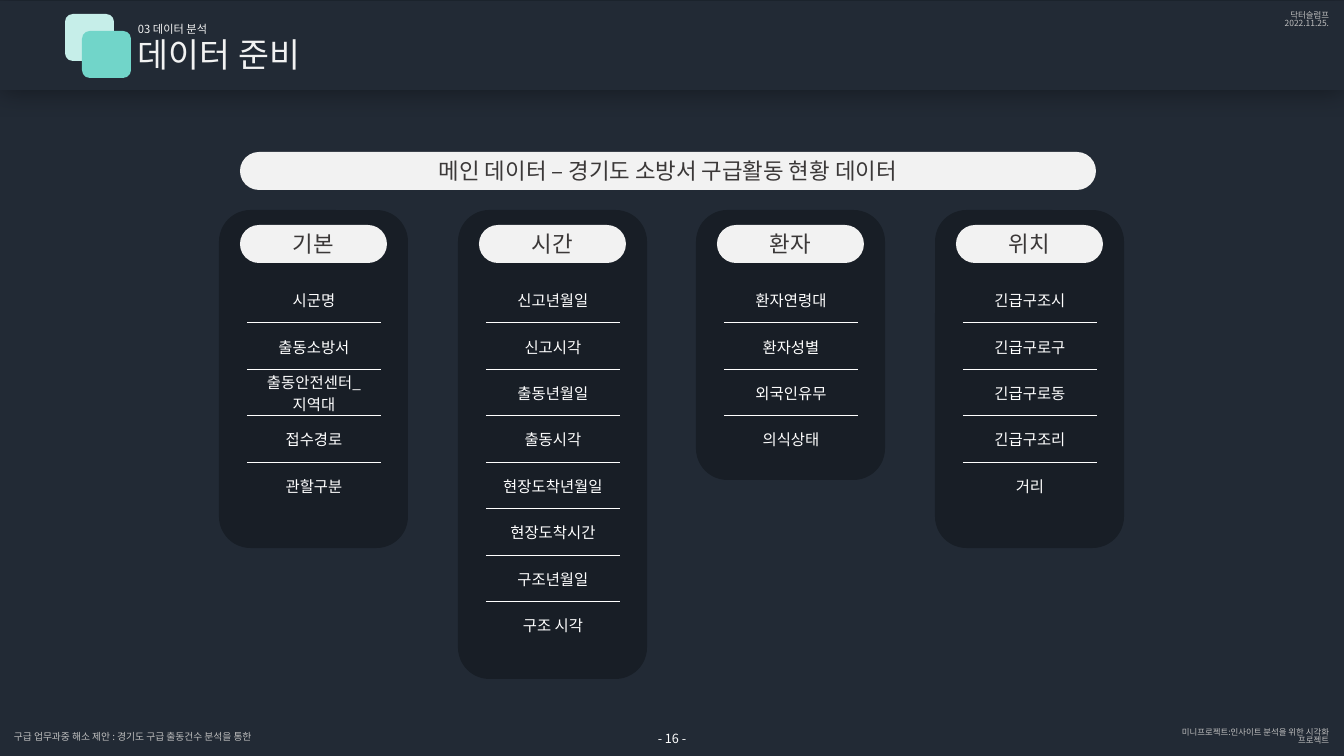
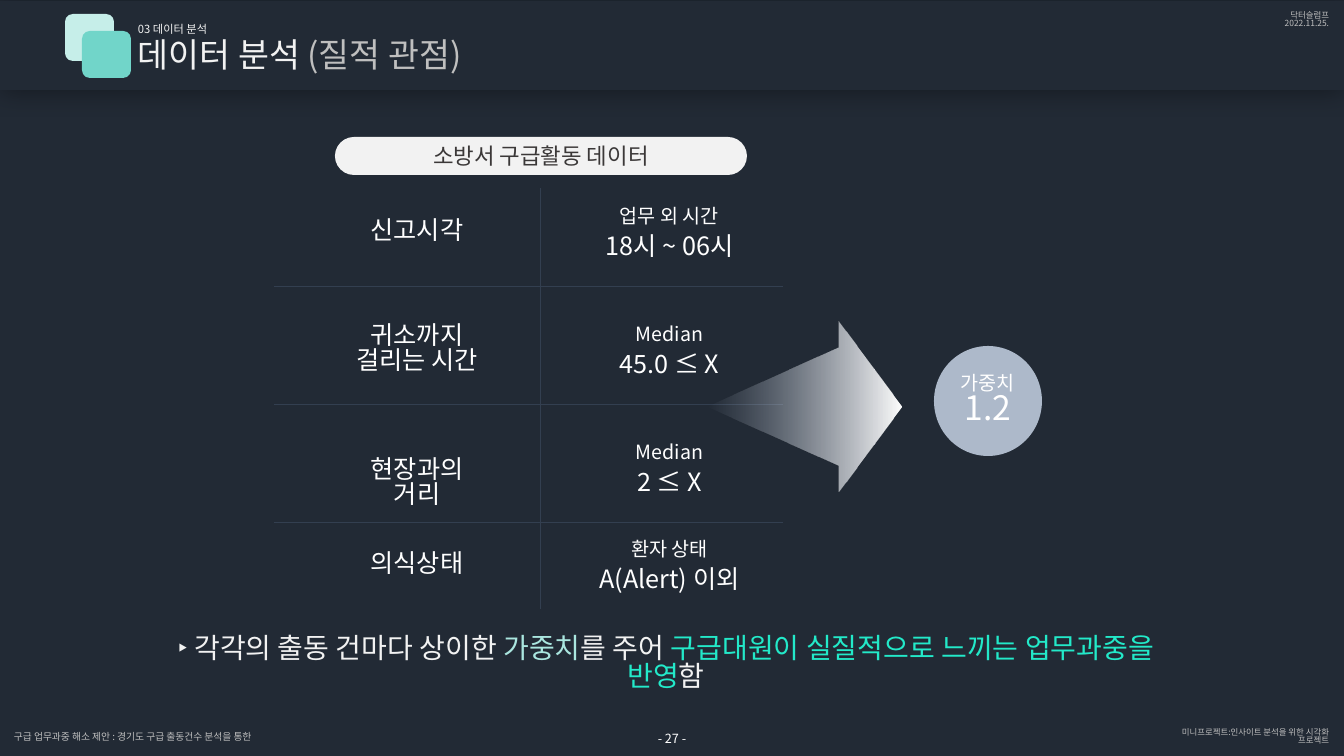
from lxml import etree
from pptx import Presentation
from pptx import util as u
from pptx.dml.color import RGBColor
from pptx.enum import shapes, text
from pptx.oxml import ns

PX = 12192000 / 1344  # EMU per px
FONT = "Noto Sans CJK KR"
TIGHT = 0.82  # line spacing of text that runs over several lines
COLORS = {
    "background": "222A35",
    "panel": "181E26",
    "pill": "F2F2F2",
    "pill_text": "3B3838",
    "white": "FFFFFF",
    "title": "F2F2F2",
    "muted": "BFBFBF",
    "mint_light": "C6EEE9",
    "mint": "71D5C9",
    "mint_text": "AAE6DF",
    "accent": "23E9C9",
    "grid": "333F50",
    "circle": "ADB9CA",
    "arrow_tip": "FEFEFE",
}
LEFT, CENTER, RIGHT = text.PP_ALIGN.LEFT, text.PP_ALIGN.CENTER, text.PP_ALIGN.RIGHT
SHAPE = shapes.MSO_SHAPE

# heading, panel height, fields
DATA_COLUMNS = [
    ("기본", 338, ["시군명", "출동소방서", "출동안전센터_지역대", "접수경로", "관할구분"]),
    ("시간", 469, ["신고년월일", "신고시각", "출동년월일", "출동시각",
                 "현장도착년월일", "현장도착시간", "구조년월일", "구조 시각"]),
    ("환자", 270, ["환자연령대", "환자성별", "외국인유무", "의식상태"]),
    ("위치", 338, ["긴급구조시", "긴급구로구", "긴급구로동", "긴급구조리", "거리"]),
]

# label lines, label centre, condition, value, condition centre
CRITERIA = [
    (["신고시각"], 232, "업무 외 시간", "18시 ~ 06시", 216),
    (["귀소까지", "걸리는 시간"], 350, "Median", "45.0 ≤ X", 334),
    (["현장과의 거리"], 484, "Median", "2 ≤ X", 452),
    (["의식상태"], 565, "환자 상태", "A(Alert) 이외", 549),
]


def px(number):
    return u.Emu(round(number * PX))


def box(left, top, width, height):
    return px(left), px(top), px(width), px(height)


def rgb(name):
    return RGBColor.from_string(COLORS[name])


def add_xml(parent, tag, **attributes):
    return etree.SubElement(parent, ns.qn(tag), attributes)


def write(frame, paragraphs, align=CENTER, spacing=None):
    """Fill a frame; each paragraph is a list of (text, size, colour) runs."""
    frame.word_wrap = True
    frame.vertical_anchor = text.MSO_ANCHOR.MIDDLE
    frame.margin_left = frame.margin_right = 0
    frame.margin_top = frame.margin_bottom = 0
    for index, runs in enumerate(paragraphs):
        paragraph = frame.add_paragraph() if index else frame.paragraphs[0]
        paragraph.alignment = align
        if spacing:
            paragraph.line_spacing = spacing
        for words, size, color in runs:
            run = paragraph.add_run()
            run.text = words
            run.font.size = u.Pt(size)
            run.font.color.rgb = rgb(color)
            run.font.name = FONT
            add_xml(run.font._element, "a:ea", typeface=FONT)


def add_text(slide, bounds, paragraphs, align=CENTER, spacing=None):
    textbox = slide.shapes.add_textbox(*box(*bounds))
    write(textbox.text_frame, paragraphs, align, spacing)


def add_filled(slide, kind, bounds, color):
    shape = slide.shapes.add_shape(kind, *box(*bounds))
    shape.shadow.inherit = False
    shape.fill.solid()
    shape.fill.fore_color.rgb = rgb(color)
    shape.line.fill.background()
    return shape


def add_pill(slide, bounds, words):
    pill = add_filled(slide, SHAPE.ROUNDED_RECTANGLE, bounds, "pill")
    pill.adjustments[0] = 0.5
    write(pill.text_frame, [[(words, 16, "pill_text")]])


def add_line(slide, x1, y1, x2, y2):
    line = slide.shapes.add_connector(
        shapes.MSO_CONNECTOR.STRAIGHT, px(x1), px(y1), px(x2), px(y2))
    line.line.color.rgb = rgb("grid")
    line.line.width = u.Pt(0.5)
    add_xml(line._element.spPr, "a:effectLst")


def set_borders(cell, top, bottom):
    """Rule the cell above and below as asked, never at its sides."""
    properties = cell._tc.get_or_add_tcPr()
    for side, shown in (("L", False), ("R", False), ("T", top), ("B", bottom)):
        border = add_xml(properties, f"a:ln{side}", w=str(u.Pt(0.25)))
        if shown:
            fill = add_xml(border, "a:solidFill")
            add_xml(fill, "a:srgbClr", val=COLORS["white"])
        else:
            add_xml(border, "a:noFill")


def add_field_table(slide, left, top, fields):
    count = len(fields)
    row_height = px(46.5)
    table = slide.shapes.add_table(
        count, 1, px(left), px(top), px(134), row_height * count).table
    table.first_row = table.horz_banding = False
    for index, field in enumerate(fields):
        table.rows[index].height = row_height
        cell = table.cell(index, 0)
        set_borders(cell, top=index > 0, bottom=index < count - 1)
        cell.fill.background()
        write(cell.text_frame, [[(field, 11, "white")]])
        cell.vertical_anchor = text.MSO_ANCHOR.MIDDLE
        cell.margin_left = cell.margin_right = cell.margin_top = px(1)
        cell.margin_bottom = 0


def add_header_band(slide):
    band = add_filled(slide, SHAPE.RECTANGLE, (0, 1, 1344, 89), "background")
    effects = band._element.spPr.find(ns.qn("a:effectLst"))
    shadow = add_xml(effects, "a:outerShdw", blurRad=str(u.Pt(20)), dist="0",
                     algn="ctr", rotWithShape="0")
    color = add_xml(shadow, "a:srgbClr", val="000000")
    add_xml(color, "a:alpha", val="40000")


def add_base_slide(presentation, title_runs, page):
    """Add a slide with the band, title, footers and page number."""
    slide = presentation.slides.add_slide(presentation.slide_layouts[6])
    add_header_band(slide)
    for left, top, color in ((65, 14, "mint_light"), (82, 31, "mint")):
        add_filled(slide, SHAPE.ROUNDED_RECTANGLE, (left, top, 49, 47), color)
    add_text(slide, (138, 34, 371, 40),
             [[(words, 24, color) for words, color in title_runs]], LEFT)
    add_text(slide, (138, 23, 371, 13), [[("03 데이터 분석", 8, "title")]], LEFT)
    add_text(slide, (1159, 10, 170, 20),
             [[(words, 6, "muted")] for words in ("닥터슬럼프", "2022.11.25.")],
             RIGHT, TIGHT)
    add_text(slide, (14, 731, 264, 12),
             [[("구급 업무과중 해소 제안 : 경기도 구급 출동건수 분석을 통한", 7, "muted")]], LEFT)
    add_text(slide, (1159, 732, 170, 10),
             [[("미니프로젝트:인사이트 분석을 위한 시각화 프로젝트", 6, "muted")]],
             RIGHT, TIGHT)
    add_text(slide, (642, 731, 60, 15), [[(f"- {page} -", 9, "white")]])
    return slide


def add_data_column(slide, left, heading, height, fields):
    add_filled(slide, SHAPE.FLOWCHART_ALTERNATE_PROCESS,
               (left, 210, 189, height), "panel")
    add_field_table(slide, left + 28, 276, fields)
    add_pill(slide, (left + 21, 225, 147, 38), heading)


def add_criterion(slide, label, label_y, condition, value, condition_y):
    add_text(slide, (349, label_y - 36, 136, 72),
             [[(line, 18, "white")] for line in label], spacing=TIGHT)
    add_text(slide, (588, condition_y - 12, 163, 24), [[(condition, 14, "white")]])
    add_text(slide, (588, condition_y + 14, 163, 30), [[(value, 18, "white")]])


def add_fading_arrow(slide):
    axis = 407
    builder = slide.shapes.build_freeform(708, axis, scale=PX)
    builder.add_line_segments(
        [(839, axis - 59), (839, axis - 85), (902, axis),
         (839, axis + 85), (839, axis + 59)], close=True)
    arrow = builder.convert_to_shape()
    arrow.shadow.inherit = False
    arrow.line.fill.background()
    arrow.fill.gradient()
    arrow.fill.gradient_angle = 0
    for stop, color in zip(arrow.fill.gradient_stops, ("circle", "arrow_tip")):
        stop.color.rgb = rgb(color)
    start = arrow._element.spPr.find(".//" + ns.qn("a:srgbClr"))
    add_xml(start, "a:alpha", val="0")


def build_data_slide(presentation):
    slide = add_base_slide(presentation, [("데이터 준비", "title")], 16)
    add_pill(slide, (240, 152, 856, 38), "메인 데이터 – 경기도 소방서 구급활동 현황 데이터")
    for index, column in enumerate(DATA_COLUMNS):
        add_data_column(slide, 219 + round(index * 716 / 3), *column)


def build_weight_slide(presentation):
    slide = add_base_slide(
        presentation, [("데이터 분석", "title"), (" (질적 관점)", "muted")], 27)
    add_line(slide, 540, 188, 540, 609)
    for row in range(3):
        y = 286 + 118 * row
        add_line(slide, 274, y, 783, y)
    for criterion in CRITERIA:
        add_criterion(slide, *criterion)
    circle = add_filled(slide, SHAPE.OVAL, (934, 346, 108, 110), "circle")
    write(circle.text_frame,
          [[("가중치", 14, "white")], [("1.2", 24, "white")]], spacing=TIGHT)
    add_fading_arrow(slide)
    add_pill(slide, (335, 137, 412, 38), "소방서 구급활동 데이터")
    conclusion = [
        ("‣ 각각의 출동 건마다 상이한 ", "title"),
        ("가중치", "mint_text"),
        ("를 주어 ", "title"),
        ("구급대원이 실질적으로 느끼는 업무과중을 반영", "accent"),
        ("함", "title"),
    ]
    add_text(slide, (156, 647, 1020, 34),
             [[(words, 20, color) for words, color in conclusion]], spacing=TIGHT)


def main():
    presentation = Presentation()
    presentation.slide_width, presentation.slide_height = px(1344), px(756)
    background = presentation.slide_master.background.fill
    background.solid()
    background.fore_color.rgb = rgb("background")
    build_data_slide(presentation)
    build_weight_slide(presentation)
    presentation.save("out.pptx")


if __name__ == "__main__":
    main()
